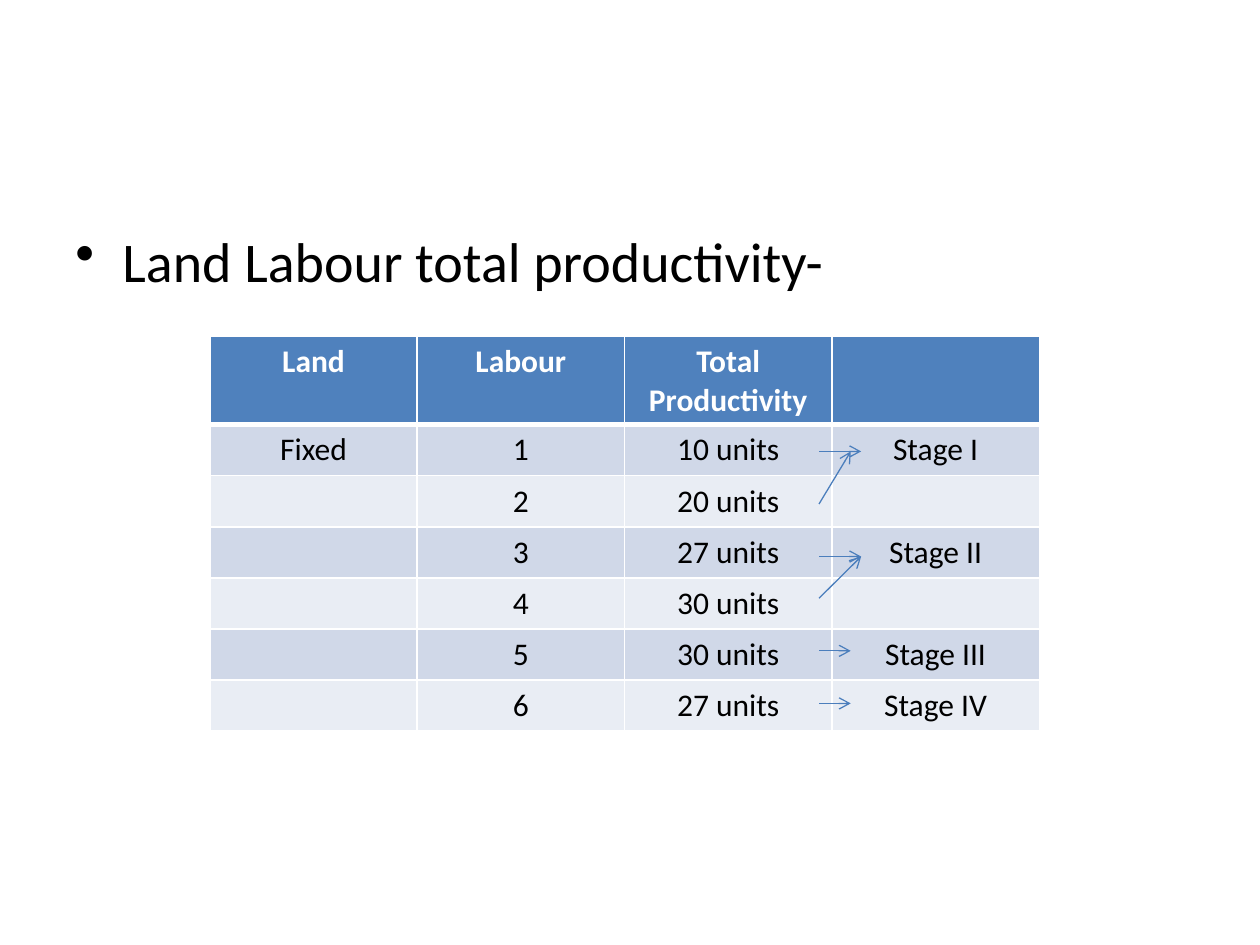
from dataclasses import dataclass

from lxml.etree import SubElement
from pptx import Presentation
from pptx.dml.color import RGBColor
from pptx.enum.shapes import MSO_CONNECTOR
from pptx.enum.text import PP_ALIGN
from pptx.oxml.ns import qn
from pptx.util import Cm, Pt


@dataclass(frozen=True)
class Theme:
    face: str = "Calibri"
    black: RGBColor = RGBColor(0, 0, 0)
    white: RGBColor = RGBColor(255, 255, 255)
    head: RGBColor = RGBColor(0x4F, 0x81, 0xBD)
    bands: tuple = (RGBColor(0xD0, 0xD8, 0xE8), RGBColor(0xE9, 0xED, 0xF4))
    arrow: RGBColor = RGBColor(0x4B, 0x7E, 0xBC)
    big: int = 32
    small: int = 18


THEME = Theme()

ROWS = [
    ("Land", "Labour", "Total Productivity", ""),
    ("Fixed", "1", "10 units", "Stage I"),
    ("", "2", "20 units", ""),
    ("", "3", "27 units", "Stage II"),
    ("", "4", "30 units", ""),
    ("", "5", "30 units", "Stage III"),
    ("", "6", "27 units", "Stage IV"),
]

# Start height, reach to the right and end height of each arrow, in cm
ARROWS = [
    (0, 0.85, 0),
    (1.06, 0.64, 0),
    (2.12, 0.85, 2.12),
    (2.96, 0.85, 2.12),
    (4.02, 0.64, 4.02),
    (5.08, 0.64, 5.08),
]


def style(para, size, color, bold=False):
    font = para.font
    font.name, font.size, font.bold = THEME.face, Pt(size), bold
    font.color.rgb = color


def add_point(slide, left, top, width, height, text):
    """Bulleted line at the top of its box."""
    frame = slide.shapes.add_textbox(
        Cm(left), Cm(top), Cm(width), Cm(height)).text_frame
    frame.word_wrap = True
    para = frame.paragraphs[0]
    para.text = text
    style(para, THEME.big, THEME.black)
    props = para._p.get_or_add_pPr()
    props.set("marL", str(Cm(0.95)))
    props.set("indent", str(Cm(-0.95)))
    mark = props.makeelement(qn("a:buChar"), {"char": "•"})
    props.insert(0, mark)


def add_edges(cell, top, base):
    """White cell borders; top and base are widths in points."""
    props = cell._tc.get_or_add_tcPr()
    for side, width in (("L", 1), ("R", 1), ("T", top), ("B", base)):
        line = SubElement(props, qn(f"a:ln{side}"), w=str(Pt(width)))
        fill = SubElement(line, qn("a:solidFill"))
        SubElement(fill, qn("a:srgbClr"), val=str(THEME.white))


def add_grid(slide, left, top, width, height):
    """Table with a tall head row and banded rows below."""
    count = len(ROWS[0])
    table = slide.shapes.add_table(
        len(ROWS), count, Cm(left), Cm(top), Cm(width), Cm(height)).table
    tall = 1.78
    low = (height - tall) / (len(ROWS) - 1)
    for col in table.columns:
        col.width = Cm(width / count)
    for i, words in enumerate(ROWS):
        head = i == 0
        table.rows[i].height = Cm(tall if head else low)
        for j, text in enumerate(words):
            cell = table.cell(i, j)
            add_edges(cell, 3 if i == 1 else 1, 3 if head else 1)
            cell.fill.solid()
            cell.fill.fore_color.rgb = (
                THEME.head if head else THEME.bands[(i - 1) % 2])
            para = cell.text_frame.paragraphs[0]
            para.text = text
            para.alignment = PP_ALIGN.CENTER
            style(para, THEME.small,
                  THEME.white if head else THEME.black, head)


def add_arrows(slide, left, top):
    """Arrows from the units to their stages."""
    for start, reach, end in ARROWS:
        link = slide.shapes.add_connector(
            MSO_CONNECTOR.STRAIGHT, Cm(left), Cm(top + start),
            Cm(left + reach), Cm(top + end))
        link.line.color.rgb = THEME.arrow
        link.line.width = Pt(0.75)
        SubElement(link.line._get_or_add_ln(), qn("a:tailEnd"), type="arrow")
        SubElement(link._element.spPr, qn("a:effectLst"))


def main():
    deck = Presentation()
    deck.slide_width, deck.slide_height = Cm(25.4), Cm(19.05)
    slide = deck.slides.add_slide(deck.slide_layouts[6])
    add_point(slide, 1.27, 4.45, 22.86, 12.57,
              "Land Labour total productivity-")
    add_grid(slide, 4.23, 6.78, 16.72, 7.96)
    add_arrows(slide, 16.51, 9.1)
    deck.save("out.pptx")


if __name__ == "__main__":
    main()
